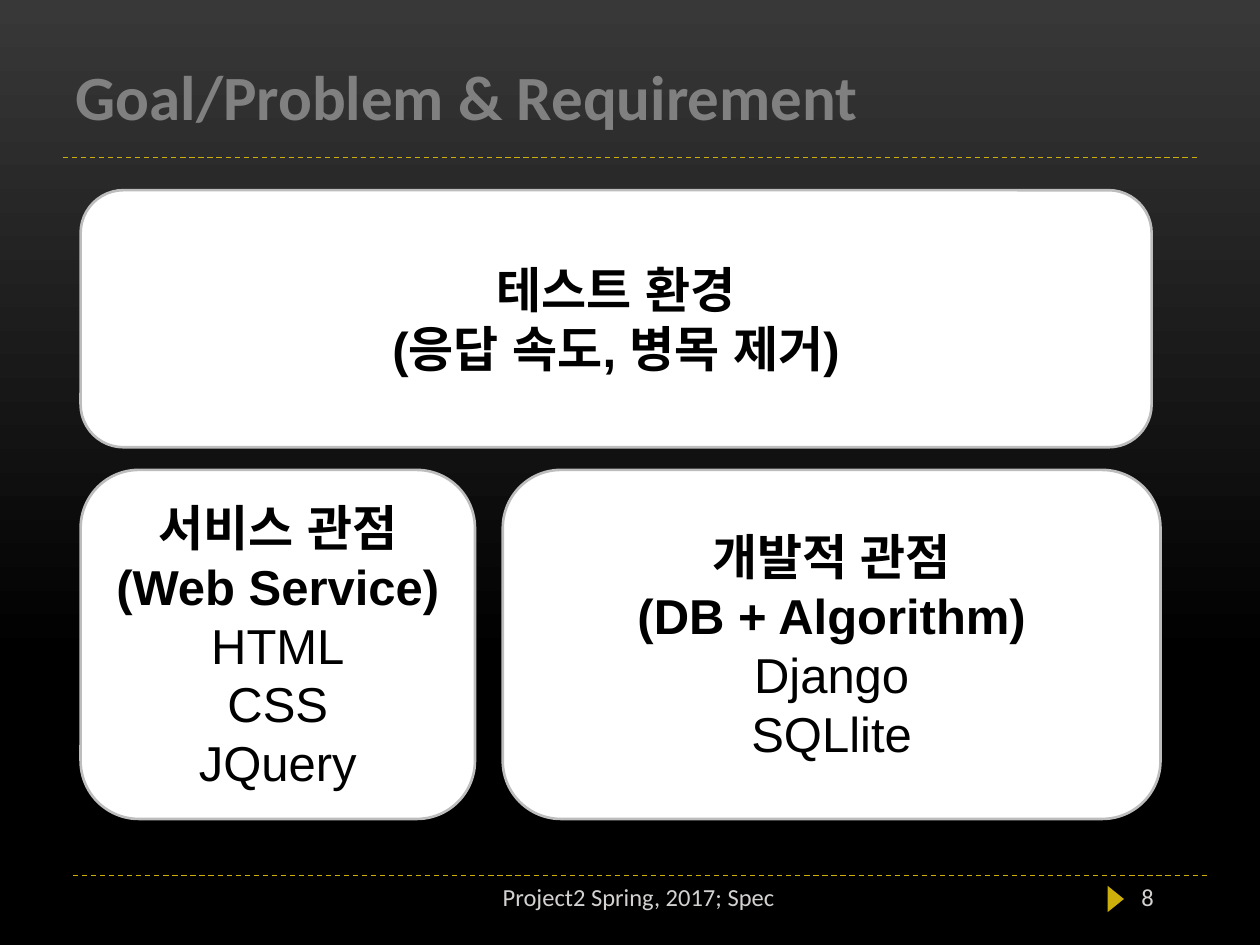
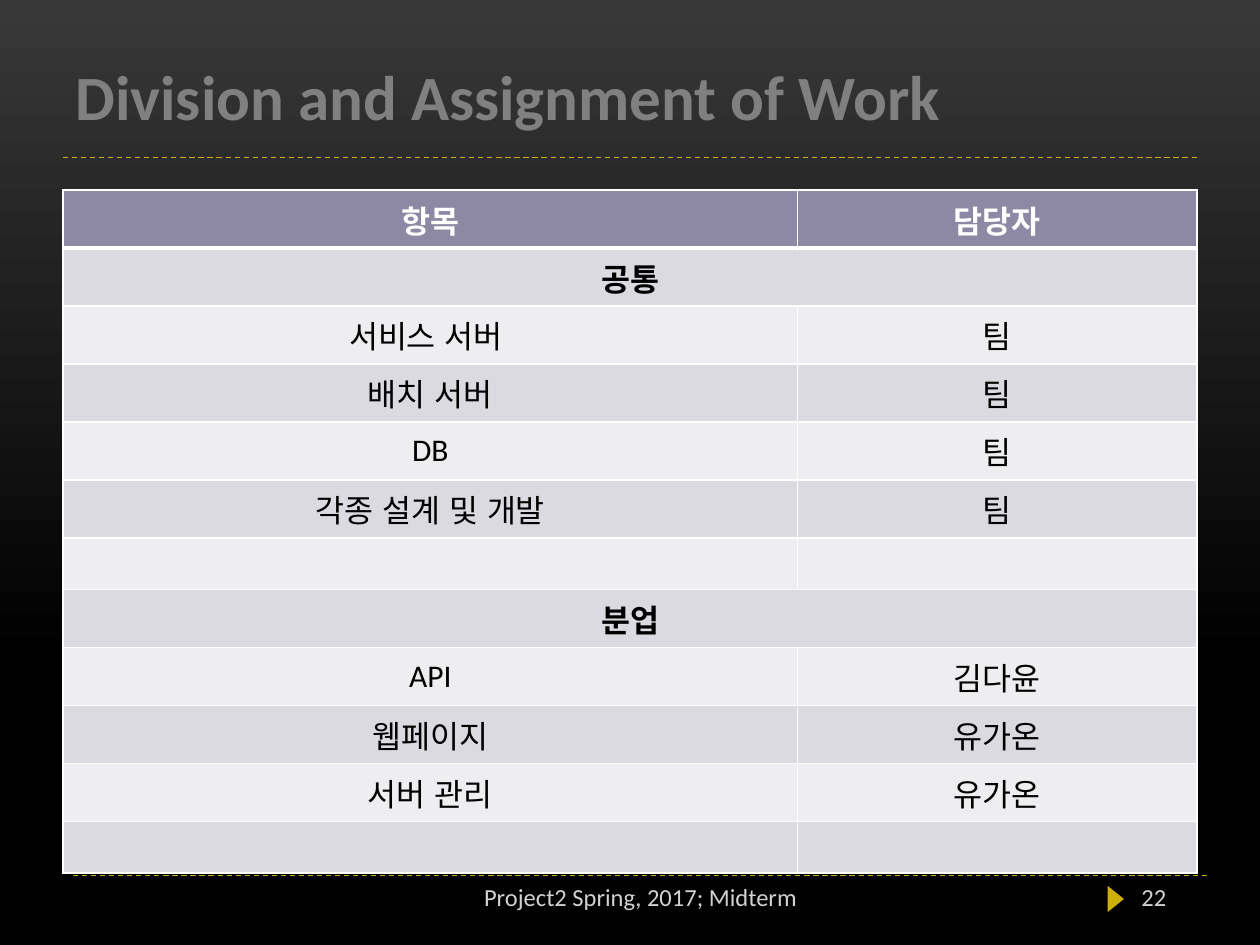
"""Builds the goal and work-division slides of a project deck."""
import copy
import pptx
import pptx.dml.color
import pptx.enum.dml
import pptx.enum.lang
import pptx.enum.shapes
import pptx.enum.text
import pptx.oxml
import pptx.oxml.ns
import pptx.util

Inches = pptx.util.Inches
Pt = pptx.util.Pt
ALIGN = pptx.enum.text.PP_ALIGN
ANCHOR = pptx.enum.text.MSO_ANCHOR
SHAPE = pptx.enum.shapes.MSO_SHAPE
KOREAN = pptx.enum.lang.MSO_LANGUAGE_ID.KOREAN
qn = pptx.oxml.ns.qn

HUES = {
    "black": "000000", "dark": "383838", "gold": "CCAF0A", "title": "808080",
    "foot": "D4D2D0", "white": "FFFFFF", "edge": "BDBDBD", "head": "8D89A4",
    "odd": "DBDAE0", "even": "EEEDF0",
}


def hue(name):
    """Return the named colour."""
    return pptx.dml.color.RGBColor.from_string(HUES[name])


def write(frame, *lines, size=18, face="Calibri", color="black", bold=0,
          align=ALIGN.CENTER):
    """Write lines as paragraphs, the first `bold` of them in bold."""
    frame.word_wrap = True
    for i, line in enumerate(lines):
        para = frame.add_paragraph() if i else frame.paragraphs[0]
        para.alignment = align
        run = para.add_run()
        run.text = line
        run.font.size = Pt(size)
        run.font.name = face
        run.font.bold = i < bold
        run.font.color.rgb = hue(color)
        run.font.language_id = KOREAN


class Deck:
    """Holds the style and the current slide."""

    def __init__(self):
        """Set the size and the shared background."""
        self.prs = pptx.Presentation()
        self.prs.slide_width, self.prs.slide_height = Inches(10), Inches(7.5)
        master = self.prs.slide_master
        fill = master.background.fill
        fill.gradient()
        fill.gradient_angle = 90
        first = master.element.find(".//" + qn("a:gs"))
        first.addnext(copy.deepcopy(first))
        stops = [(0, "black"), (0.3, "black"), (1, "dark")]
        for stop, (place, name) in zip(fill.gradient_stops, stops):
            stop.position = place
            stop.color.rgb = hue(name)

    def slide(self, title, foot, wide, page):
        """Add a slide with its title, rules and footer."""
        self.page = self.prs.slides.add_slide(self.prs.slide_layouts[5])
        self.rule(0.58, 6.95)
        self.rule(0.5, 1.25)
        mark = self.shape(SHAPE.ISOSCELES_TRIANGLE, 8.75, 7.07, 0.21, 0.13, "gold")
        mark.rotation = 90
        head = self.page.shapes.title
        head.left, head.top = Inches(0.5), Inches(0.4)
        head.width, head.height = Inches(9), Inches(0.71)
        head.text_frame.vertical_anchor = ANCHOR.BOTTOM
        write(head.text_frame, title, size=36, color="title", bold=1,
              align=ALIGN.LEFT)
        self.label(foot, 3.17, wide, ALIGN.CENTER)
        self.label(page, 8.96, 0.75, ALIGN.LEFT)

    def rule(self, x, y):
        """Draw a dashed line across the slide."""
        line = self.page.shapes.add_connector(
            pptx.enum.shapes.MSO_CONNECTOR.STRAIGHT,
            Inches(x), Inches(y), Inches(x + 9), Inches(y))
        line.line.color.rgb = hue("gold")
        line.line.width = Pt(0.75)
        line.line.dash_style = pptx.enum.dml.MSO_LINE.DASH
        line.element.spPr.append(pptx.oxml.parse_xml(
            f"<a:effectLst {pptx.oxml.ns.nsdecls('a')}/>"))

    def label(self, text, x, wide, align):
        """Add a small text in the footer."""
        box = self.page.shapes.add_textbox(
            Inches(x), Inches(6.95), Inches(wide), Inches(0.4))
        write(box.text_frame, text, size=14, color="foot", align=align)

    def shape(self, kind, x, y, wide, high, fill, edge=None):
        """Add a flat preset shape."""
        item = self.page.shapes.add_shape(
            kind, Inches(x), Inches(y), Inches(wide), Inches(high))
        item.shadow.inherit = False
        item.fill.solid()
        item.fill.fore_color.rgb = hue(fill)
        if edge:
            item.line.color.rgb = hue(edge)
            item.line.width = Pt(1.5)
        else:
            item.line.fill.background()
        return item

    def card(self, x, y, wide, high, *lines):
        """Add a rounded card with a two-line bold heading."""
        item = self.shape(SHAPE.ROUNDED_RECTANGLE, x, y, wide, high, "white", "edge")
        item.text_frame.vertical_anchor = ANCHOR.MIDDLE
        write(item.text_frame, *lines, size=28, face="Arial", bold=2)

    def border(self, cell, low):
        """Draw white cell borders, the bottom one `low` points wide."""
        props = cell._tc.get_or_add_tcPr()
        for i, (side, width) in enumerate(zip("LRTB", (1, 1, 1, low))):
            props.insert(i, pptx.oxml.parse_xml(
                f'<a:ln{side} {pptx.oxml.ns.nsdecls("a")} w="{Pt(width)}">'
                f'<a:solidFill><a:srgbClr val="{HUES["white"]}"/></a:solidFill>'
                f'</a:ln{side}>'))

    def table(self, x, y, cols, rows, high=0.46, low=0.41):
        """Add a banded table; one text spans a row, empty rows are low."""
        sizes = [high if any(row) else low for row in rows]
        grid = self.page.shapes.add_table(
            len(rows), len(cols), Inches(x), Inches(y),
            Inches(sum(cols)), Inches(sum(sizes))).table
        for col, wide in zip(grid.columns, cols):
            col.width = Inches(wide)
        for r, row in enumerate(rows):
            grid.rows[r].height = Inches(sizes[r])
            span = len(row) == 1
            band = "odd" if r % 2 else "even"
            for c in range(len(cols)):
                cell = grid.cell(r, c)
                cell.vertical_anchor = ANCHOR.MIDDLE
                cell.fill.solid()
                cell.fill.fore_color.rgb = hue(band if r else "head")
                self.border(cell, 1 if r else 3)
            if span:
                grid.cell(r, 0).merge(grid.cell(r, len(cols) - 1))
            for c, text in enumerate(row):
                if text:
                    write(grid.cell(r, c).text_frame, text,
                          bold=int(span or not r),
                          color="black" if r else "white")


def main():
    """Build and save the deck."""
    deck = Deck()
    deck.slide("Goal/Problem & Requirement", "Project2 Spring, 2017; Spec", 3.8, "8")
    deck.card(0.64, 3.73, 3.13, 2.77,
              "서비스 관점", "(Web Service)", "HTML", "CSS", "JQuery")
    deck.card(3.99, 3.73, 5.22, 2.77,
              "개발적 관점", "(DB + Algorithm)", "Django", "SQLlite")
    deck.card(0.64, 1.51, 8.5, 2.04, "테스트 환경", "(응답 속도, 병목 제거)")

    deck.slide("Division and Assignment of Work",
               "Project2 Spring, 2017; Midterm", 3.83, "22")
    deck.table(0.5, 1.51, (5.83, 3.17), [
        ("항목", "담당자"),
        ("공통",),
        ("서비스 서버 ", "팀"),
        ("배치 서버", "팀"),
        ("DB", "팀"),
        ("각종 설계 및 개발", "팀"),
        ("", ""),
        ("분업",),
        ("API", "김다윤"),
        ("웹페이지", "유가온"),
        ("서버 관리", "유가온"),
        ("", ""),
    ])
    deck.prs.save("out.pptx")


if __name__ == "__main__":
    main()
